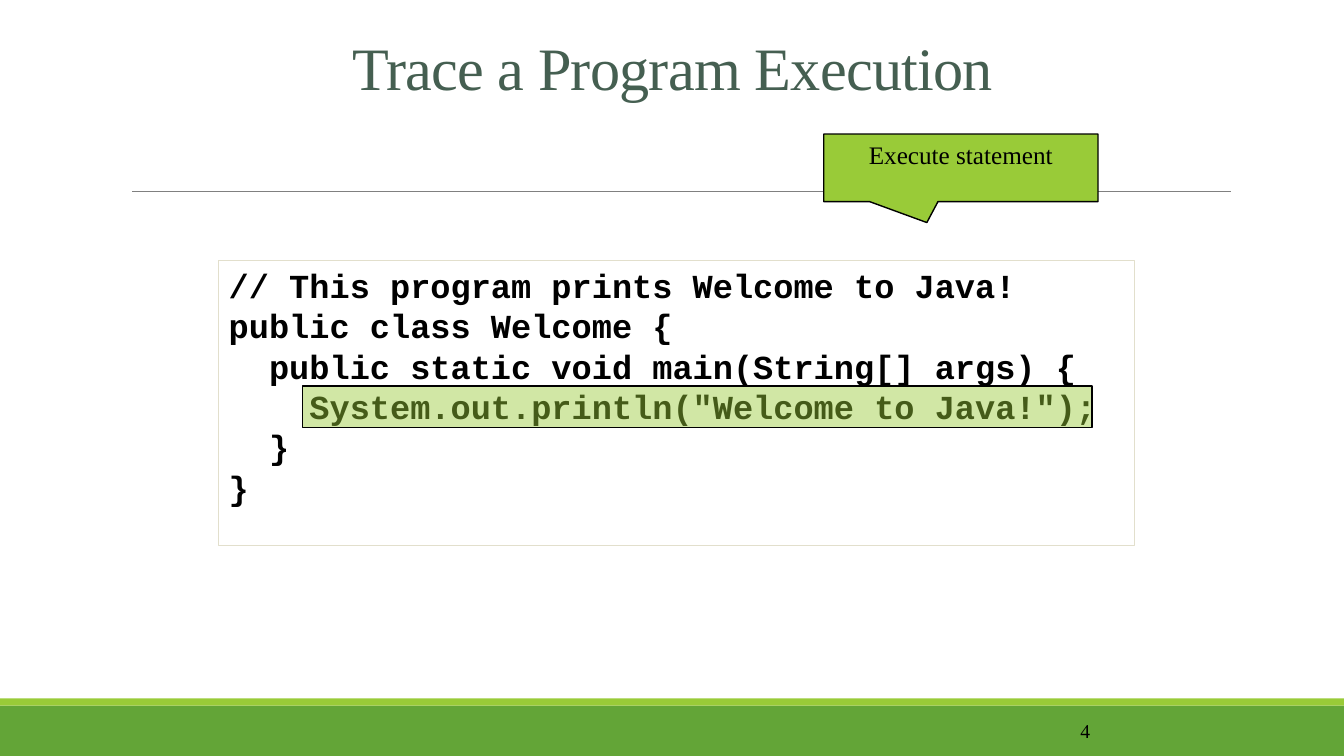
from lxml import etree
from pptx import Presentation
from pptx.dml.color import RGBColor
from pptx.enum.shapes import MSO_CONNECTOR, MSO_SHAPE
from pptx.enum.text import MSO_ANCHOR, PP_ALIGN
from pptx.oxml.ns import qn
from pptx.util import Inches, Pt

RECT = MSO_SHAPE.RECTANGLE
CALL = MSO_SHAPE.ROUNDED_RECTANGULAR_CALLOUT
LEFT, MID, RIGHT = PP_ALIGN.LEFT, PP_ALIGN.CENTER, PP_ALIGN.RIGHT
TOP, CORE = MSO_ANCHOR.TOP, MSO_ANCHOR.MIDDLE

WIDE, HIGH = 13.33, 7.5
SERIF, MONO = "Times New Roman", "Courier New"
GREEN, LIME, BLACK = "63A537", "99CB38", "000000"

TITLE = "Trace a Program Execution"
CODE = [
    "// This program prints Welcome to Java!",
    "public class Welcome {",
    "  public static void main(String[] args) {",
    '    System.out.println("Welcome to Java!");',
    "  }",
    "}",
]
NOTE = "Execute statement"
PAGE = "4"

FOOT = 0.5
STRIP = 0.07
BASE = HIGH - FOOT
BARS = [
    ((0, BASE, WIDE, FOOT), GREEN),
    ((0, BASE - STRIP, WIDE, STRIP), LIME),
]
RULE = (1.31, 1.9, 12.21, 1.9)
HEAD = (2.42, 0.42, 8.5, 0.58)
PANEL = (2.17, 2.58, 9.08, 2.83)
MARK = (3, 3.83, 7.83, 0.41)
BUBBLE = (8.17, 1.33, 2.72, 0.67)
TAIL = (-0.124, 0.811, 0)
NUMBER = (8.83, BASE, 2.08, FOOT)


def color(code):
    return RGBColor.from_string(code)


def inches(box):
    return [Inches(v) for v in box]


def shape(kind, box, fill=None, line=None, width=1):
    item = slide.shapes.add_shape(kind, *inches(box))
    item.shadow.inherit = False
    if fill:
        item.fill.solid()
        item.fill.fore_color.rgb = color(fill)
    else:
        item.fill.background()
    if line:
        item.line.color.rgb = color(line)
        item.line.width = Pt(width)
    else:
        item.line.fill.background()
    return item


def write(item, lines, face, size, align, anchor=TOP, ink=BLACK, bold=False):
    frame = item.text_frame
    form = {
        "word_wrap": True, "vertical_anchor": anchor,
        "margin_left": Inches(0.1), "margin_right": Inches(0.1),
        "margin_top": Inches(0.05), "margin_bottom": Inches(0.05),
    }
    for key, value in form.items():
        setattr(frame, key, value)
    look = {"name": face, "size": Pt(size), "bold": bold}
    for i, line in enumerate(lines):
        para = frame.paragraphs[0] if i == 0 else frame.add_paragraph()
        para.alignment = align
        run = para.add_run()
        run.text = line
        for key, value in look.items():
            setattr(run.font, key, value)
        run.font.color.rgb = color(ink)
    return frame.paragraphs


deck = Presentation()
deck.slide_width, deck.slide_height = inches((WIDE, HIGH))
slide = deck.slides.add_slide(deck.slide_layouts[5])

for box, fill in BARS:
    shape(RECT, box, fill)

rule = slide.shapes.add_connector(MSO_CONNECTOR.STRAIGHT, *inches(RULE))
rule.line.color.rgb = color("808080")
rule.line.width = Pt(0.5)
etree.SubElement(rule._element.spPr, qn("a:effectLst"))

page = slide.shapes.add_textbox(*inches(NUMBER))
write(page, [PAGE], SERIF, 14, RIGHT, CORE)

panel = shape(RECT, PANEL, line="E2DFCC", width=0.75)
for para in write(panel, CODE, MONO, 24, LEFT, bold=True):
    props = para._p.get_or_add_pPr()
    props.set("marL", str(Inches(0.38)))
    props.set("indent", str(-Inches(0.38)))

title = slide.shapes.title
title.left, title.top, title.width, title.height = inches(HEAD)
head = write(title, [TITLE], SERIF, 43, MID, CORE, "455F51")[0]
head.line_spacing = 0.85
head.runs[0].font._element.set("spc", "-50")

mark = shape(RECT, MARK, LIME, BLACK)
tint = mark._element.spPr.find(qn("a:solidFill"))[0]
etree.SubElement(tint, qn("a:alpha")).set("val", "45000")

bubble = shape(CALL, BUBBLE, LIME, BLACK)
for i, value in enumerate(TAIL):
    bubble.adjustments[i] = value
write(bubble, [NOTE], SERIF, 18, MID)

deck.save("out.pptx")
